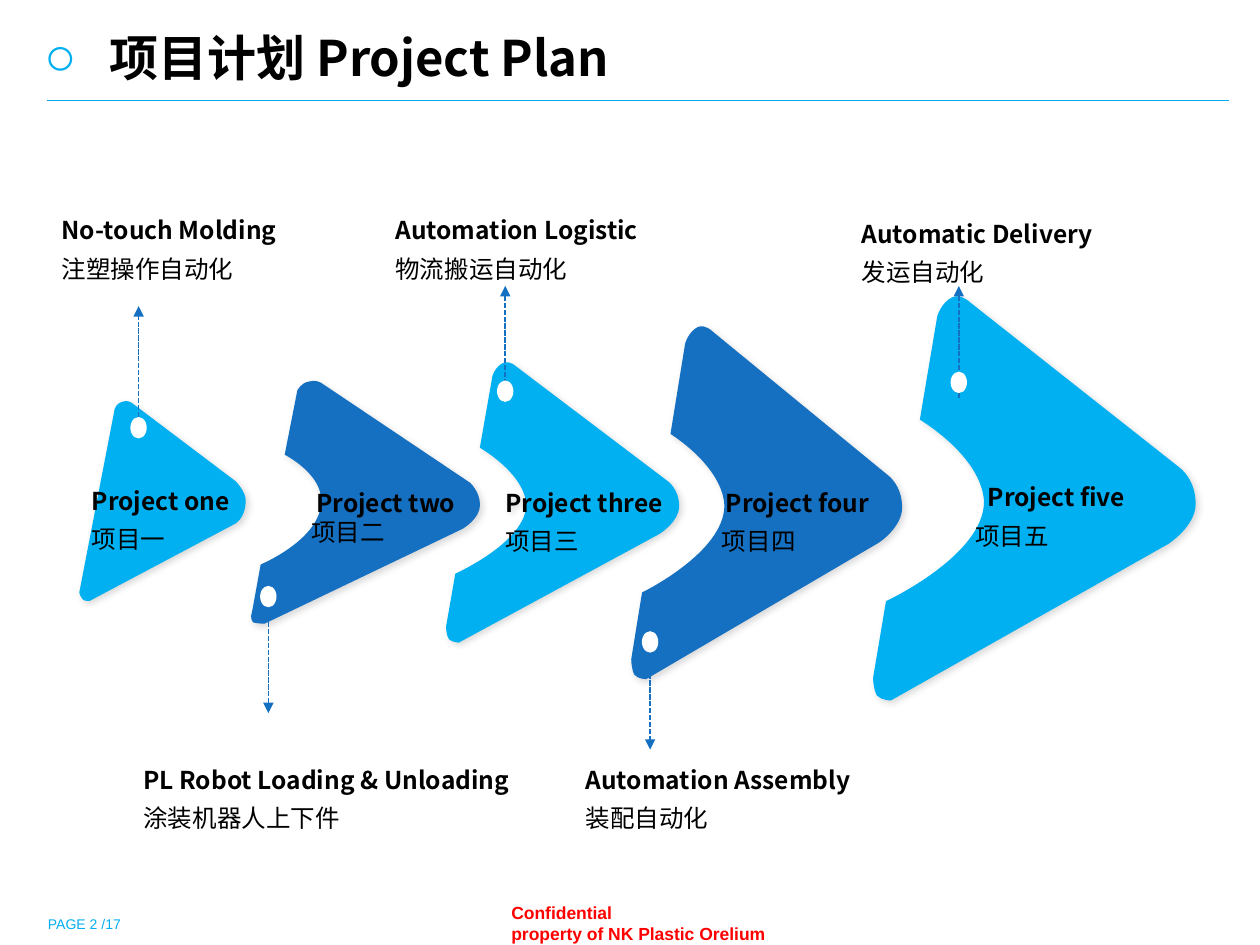
from collections import namedtuple

from lxml import etree
from pptx import Presentation
from pptx.dml.color import RGBColor
from pptx.enum.dml import MSO_LINE
from pptx.enum.shapes import MSO_CONNECTOR, MSO_SHAPE
from pptx.enum.text import MSO_ANCHOR, MSO_AUTO_SIZE, PP_ALIGN
from pptx.oxml.ns import qn
from pptx.util import Inches, Pt

CJK = "Noto Sans CJK SC"
CYAN, BLUE, BLACK, WHITE = "00B0F0", "1570C1", "000000", "FFFFFF"
DOT_WIDTH, DOT_HEIGHT = 0.13, 0.17

# Each corner in percent of the box: enter, control, middle, control, leave.
CHEVRON = [
    [(94.9, 42.7), (100, 45.5), (100, 51.7), (100, 57.3), (91.4, 61.6)],
    [(5.5, 100), (2.7, 100), (1.2, 98.8), (0, 97.2), (0, 94.4)],
    [(4, 75.6), (34.4, 64.4), (34.4, 51.1), (33.6, 39.9), (14.5, 31)],
    [(19.9, 5.6), (21.1, 2.2), (24.6, 0.9), (27.3, 0), (30.1, 2.2)],
]
SHALLOW_CHEVRON = [
    [(95.6, 42.3), (100, 45.9), (100, 51.5), (100, 57.2), (92.3, 61.3)],
    [(6.6, 100), (3.3, 100), (1.6, 99.5), (0, 97.9), (1.1, 95.4)],
    [(4.9, 75.8), (31.1, 65.5), (31.1, 50), (31.7, 38.7), (15.3, 30.9)],
    [(20.8, 4.6), (22.4, 1.5), (25.7, 1), (28.4, 0), (31.1, 1.5)],
]
WEDGE = [
    [(93.9, 40.6), (100, 45.6), (100, 50), (100, 59.4), (93.2, 61.9)],
    [(6.1, 100), (3, 100), (2.3, 99.4), (0, 97.5), (0, 95.6)],
    [(21.2, 5), (22, 1.9), (25.8, 1.2), (28.8, 0), (31.8, 1.9)],
]

Project = namedtuple("Project", "corners box color label inset indent spacing")
Callout = namedtuple("Callout", "x start end dot_top box caption")

PROJECTS = [
    Project(WEDGE, (0.63, 3.17, 1.32, 1.6), CYAN, ("Project one", "项目一"), (0.1, 0.62), 0, 1.3),
    Project(SHALLOW_CHEVRON, (1.98, 3.01, 1.83, 1.94), BLUE, ("Project two", "项目二"), (0.49, 0.86), 0.04, 1),
    Project(CHEVRON, (3.54, 2.86, 1.85, 2.24), CYAN, ("Project three", "项目三"), (0.47, 0.94), 0, 1.3),
    Project(CHEVRON, (5.01, 2.57, 2.15, 2.82), BLUE, ("Project four", "项目四"), (0.72, 1.23), 0.03, 1.3),
    Project(CHEVRON, (6.93, 2.33, 2.56, 3.23), CYAN, ("Project five", "项目五"), (0.81, 1.43), 0.1, 1.3),
]
CALLOUTS = [
    Callout(1.1, 3.31, 2.43, 3.31, (0.39, 1.59, 2.27, 1.02), ("No-touch Molding", "注塑操作自动化")),
    Callout(2.13, 4.77, 5.66, 4.65, (1.04, 5.95, 3.51, 0.71), ("PL Robot Loading & Unloading", "涂装机器人上下件")),
    Callout(4.01, 3.16, 2.27, 3.02, (3.04, 1.59, 3.22, 1.02), ("Automation Logistic", "物流搬运自动化")),
    Callout(5.16, 5.07, 5.95, 5.01, (4.55, 5.95, 2.61, 0.68), ("Automation Assembly", "装配自动化")),
    Callout(7.61, 3.16, 2.27, 2.95, (6.74, 1.62, 2.2, 0.71), ("Automatic Delivery", "发运自动化")),
]


def rgb(color):
    return RGBColor.from_string(color)


def add_span(para, text, size, color, bold=False, font=CJK):
    span = para.add_run()
    span.text = text
    span.font.name, span.font.size, span.font.bold = font, Pt(size), bold
    span.font.color.rgb = rgb(color)
    etree.SubElement(span.font._element, qn("a:ea"), typeface=font)


def set_insets(frame, left, top, right, bottom):
    frame.margin_left, frame.margin_top = Inches(left), Inches(top)
    frame.margin_right, frame.margin_bottom = Inches(right), Inches(bottom)


def add_text_box(page, box):
    frame = page.shapes.add_textbox(*map(Inches, box)).text_frame
    frame.word_wrap = True
    return frame


def write_bilingual(frame, lines, spacing=1.3):
    english, chinese = frame.paragraphs[0], frame.add_paragraph()
    for para, text, bold in zip((english, chinese), lines, (True, False)):
        para.alignment = PP_ALIGN.LEFT
        para.line_spacing = spacing
        add_span(para, text, 14, BLACK, bold)
    return english


def fill_plain(shape, color):
    shape.fill.solid()
    shape.fill.fore_color.rgb = rgb(color)
    shape.line.fill.background()


def add_effects(shape, shadow=False):
    effects = etree.SubElement(shape._element.spPr, qn("a:effectLst"))
    if shadow:
        outer = etree.SubElement(effects, qn("a:outerShdw"), blurRad=str(Pt(4)),
                                 dist=str(Pt(2)), dir=str(45 * 60000))
        tint = etree.SubElement(outer, qn("a:srgbClr"), val=BLACK)
        etree.SubElement(tint, qn("a:alpha"), val="15000")


def add_segment(outline, kind, *points):
    segment = etree.SubElement(outline, qn(kind))
    for x, y in points:
        etree.SubElement(segment, qn("a:pt"), x=str(round(x * 10)), y=str(round(y * 10)))


def round_corners(shape, corners):
    outline = shape._element.spPr.find(".//" + qn("a:path"))
    for segment in list(outline):
        outline.remove(segment)
    outline.set("w", "1000")
    outline.set("h", "1000")
    for index, (enter, control_in, middle, control_out, leave) in enumerate(corners):
        add_segment(outline, "a:lnTo" if index else "a:moveTo", enter)
        add_segment(outline, "a:cubicBezTo", enter, control_in, middle)
        add_segment(outline, "a:cubicBezTo", control_out, leave, leave)
    etree.SubElement(outline, qn("a:close"))


def add_project(page, project):
    builder = page.shapes.build_freeform(*project.corners[0][0])
    builder.add_line_segments([corner[2] for corner in project.corners], close=True)
    shape = builder.convert_to_shape()
    shape.left, shape.top, shape.width, shape.height = map(Inches, project.box)
    round_corners(shape, project.corners)
    fill_plain(shape, project.color)
    add_effects(shape, shadow=True)
    frame = shape.text_frame
    frame.word_wrap = True
    frame.vertical_anchor = MSO_ANCHOR.TOP
    set_insets(frame, *project.inset, 0, 0)
    english = write_bilingual(frame, project.label, project.spacing)
    english._p.get_or_add_pPr().set("marL", str(Inches(project.indent)))


def add_line(page, start, end, color, width):
    line = page.shapes.add_connector(MSO_CONNECTOR.STRAIGHT, *map(Inches, start + end))
    line.line.color.rgb = rgb(color)
    line.line.width = Pt(width)
    add_effects(line)
    return line


def add_callout(page, callout):
    arrow = add_line(page, (callout.x, callout.start), (callout.x, callout.end), BLUE, 1)
    arrow.line.dash_style = MSO_LINE.SQUARE_DOT
    etree.SubElement(arrow._element.spPr.find(qn("a:ln")), qn("a:tailEnd"), type="triangle")
    dot_box = (callout.x - DOT_WIDTH / 2, callout.dot_top, DOT_WIDTH, DOT_HEIGHT)
    dot = page.shapes.add_shape(MSO_SHAPE.OVAL, *map(Inches, dot_box))
    dot.shadow.inherit = False
    fill_plain(dot, WHITE)
    write_bilingual(add_text_box(page, callout.box), callout.caption)


def add_backdrop(page, box):
    page.background.fill.solid()
    page.background.fill.fore_color.rgb = rgb("C0C0C0")
    backdrop = page.shapes.add_shape(MSO_SHAPE.RECTANGLE, *map(Inches, box))
    backdrop.shadow.inherit = False
    fill_plain(backdrop, WHITE)
    page.shapes.title._element.addprevious(backdrop._element)


def add_title(page, box):
    title = page.shapes.title
    title.left, title.top, title.width, title.height = map(Inches, box)
    frame = title.text_frame
    frame.auto_size = MSO_AUTO_SIZE.NONE
    frame.vertical_anchor = MSO_ANCHOR.TOP
    set_insets(frame, 0.1, 0.05, 0.1, 0.05)
    para = frame.paragraphs[0]
    para.alignment = PP_ALIGN.LEFT
    properties = para._p.get_or_add_pPr()
    properties.set("marL", str(Inches(0.52)))
    properties.set("indent", str(-Inches(0.52)))
    etree.SubElement(etree.SubElement(properties, qn("a:buClr")), qn("a:srgbClr"), val="00AFF0")
    etree.SubElement(properties, qn("a:buSzPct"), val="110000")
    etree.SubElement(properties, qn("a:buFont"), typeface="Arial")
    etree.SubElement(properties, qn("a:buChar"), char="○")
    add_span(para, "项目计划 Project Plan", 28, BLACK, True)
    add_line(page, (0.37, 0.8), (9.75, 0.8), "00ABEB", 0.75)


def add_footer(page, notice_box, number_box):
    notice = add_text_box(page, notice_box).paragraphs[0]
    add_span(notice, "Confidential", 10, "FF0000", True, "Arial")
    notice.add_line_break()
    add_span(notice, "property of NK Plastic Orelium", 10, "FF0000", True, "Arial")
    number = add_text_box(page, number_box)
    number.vertical_anchor = MSO_ANCHOR.BOTTOM
    set_insets(number, 0, 0, 0, 0)
    add_span(number.paragraphs[0], "PAGE 2 /17", 8, "00AFF0", font="Arial")


def main():
    deck = Presentation()
    deck.slide_width, deck.slide_height = Inches(10), Inches(7.5)
    page = deck.slides.add_slide(deck.slide_layouts[5])
    add_backdrop(page, (0, 0, 10, 7.5))
    add_title(page, (0.25, 0.17, 9.66, 0.47))
    add_footer(page, (3.96, 7.11, 2.29, 0.43), (0.38, 7.15, 8.03, 0.25))
    for project in PROJECTS:
        add_project(page, project)
    for callout in CALLOUTS:
        add_callout(page, callout)
    deck.save("out.pptx")


if __name__ == "__main__":
    main()
